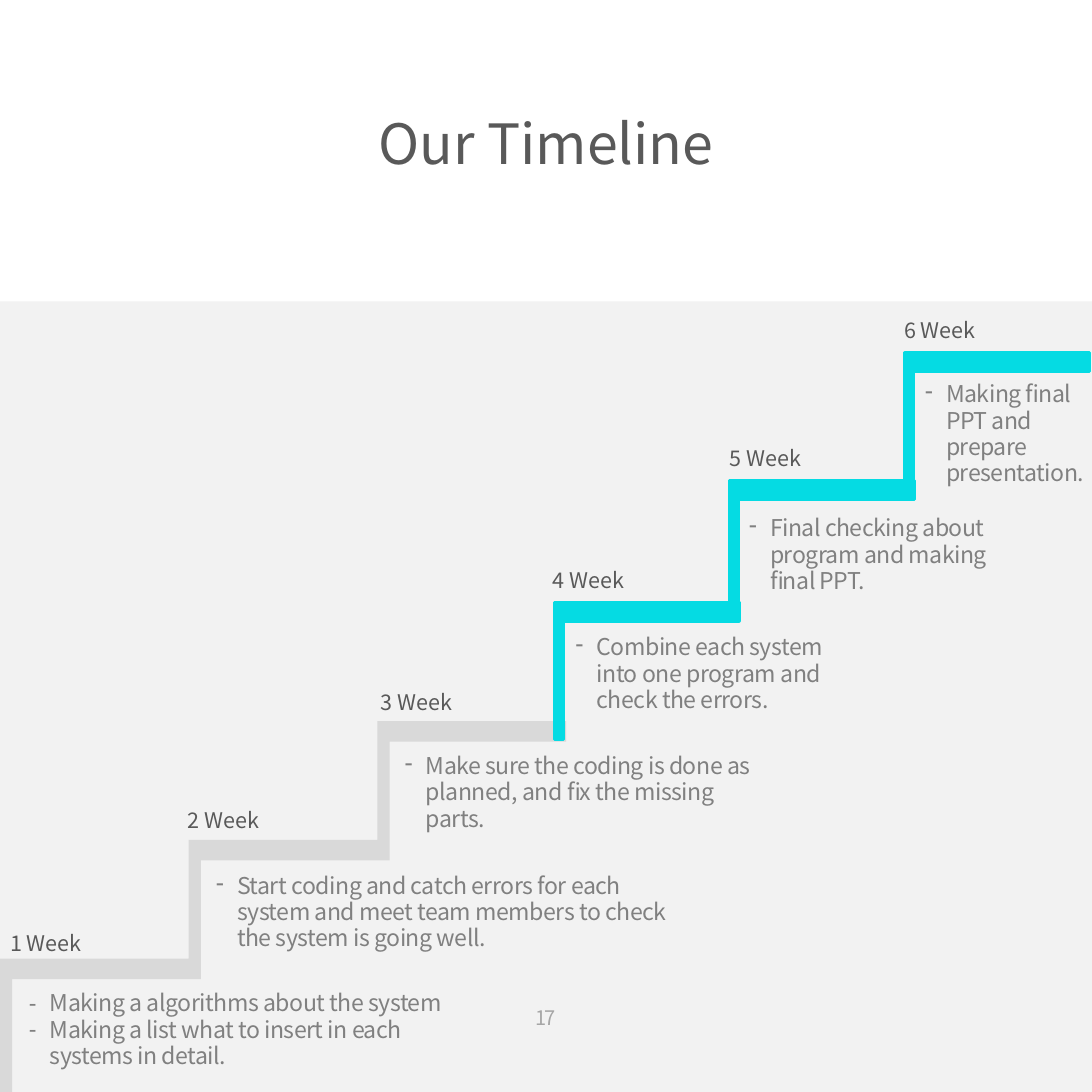
from dataclasses import dataclass

from lxml import etree
from pptx import Presentation
from pptx.dml.color import RGBColor
from pptx.enum.shapes import MSO_SHAPE
from pptx.enum.text import MSO_ANCHOR, MSO_AUTO_SIZE, PP_ALIGN
from pptx.oxml.ns import qn
from pptx.util import Cm, Pt

RECT = MSO_SHAPE.RECTANGLE
TOP, MIDDLE = MSO_ANCHOR.TOP, MSO_ANCHOR.MIDDLE
LEFT, CENTER = PP_ALIGN.LEFT, PP_ALIGN.CENTER
GROW = MSO_AUTO_SIZE.SHAPE_TO_FIT_TEXT
SIDE = 25


@dataclass(frozen=True)
class TextStyle:
    """Size, colour and letter spacing (points) of one kind of text."""
    size: float
    color: str
    tracking: float = 0
    line_spacing: float = 1.0


@dataclass(frozen=True)
class Theme:
    """Colours and type of the timeline."""
    font: str = "Noto Sans CJK KR"
    panel: str = "F2F2F2"
    early: str = "D9D9D9"
    late: str = "05DBE3"
    title: TextStyle = TextStyle(36, "595959")
    week: TextStyle = TextStyle(14, "595959")
    task: TextStyle = TextStyle(15, "808080", -0.3, 0.95)
    number: TextStyle = TextStyle(13, "A6A6A6", -1)


class Board:
    """Draws elements on a slide in the given theme."""

    def __init__(self, slide, theme):
        """Keep the slide and its theme."""
        self.slide, self.theme = slide, theme

    def paint(self, shape, color, outline=0):
        """Give a shape a flat fill and an optional line of the same colour."""
        shape.shadow.inherit = False
        shape.fill.solid()
        shape.fill.fore_color.rgb = RGBColor.from_string(color)
        if outline:
            shape.line.color.rgb = RGBColor.from_string(color)
            shape.line.width = Pt(outline)
        else:
            shape.line.fill.background()
        return shape

    def bar(self, box, color, outline=0):
        """Add a rectangle."""
        shape = self.slide.shapes.add_shape(RECT, *map(Cm, box))
        return self.paint(shape, color, outline)

    def outline(self, points, color):
        """Add a closed polygon."""
        corners = [(Cm(x), Cm(y)) for x, y in points]
        builder = self.slide.shapes.build_freeform(*corners[0])
        builder.add_line_segments(corners[1:], close=True)
        return self.paint(builder.convert_to_shape(), color)

    def text(self, box, lines, style, align=LEFT, anchor=TOP, dash=False, holder=None):
        """Write lines in a placeholder or a new text box."""
        shape = holder or self.slide.shapes.add_textbox(*map(Cm, box))
        shape.left, shape.top, shape.width, shape.height = map(Cm, box)
        frame = shape.text_frame
        frame.margin_left = frame.margin_right = 0
        frame.margin_top = frame.margin_bottom = 0
        frame.text = "\n".join(lines)
        frame.word_wrap = True
        frame.auto_size = GROW
        frame.vertical_anchor = anchor
        for paragraph in frame.paragraphs:
            if dash:
                self.dash(paragraph)
            paragraph.alignment = align
            paragraph.space_before = Pt(0)
            paragraph.line_spacing = style.line_spacing
            for font in (paragraph.font, paragraph.runs[0].font):
                font.name = self.theme.font
                font.size = Pt(style.size)
                font.color.rgb = RGBColor.from_string(style.color)
                font._rPr.set("spc", str(round(style.tracking * 100)))

    def dash(self, paragraph):
        """Put a hanging dash before a paragraph."""
        properties = paragraph._p.get_or_add_pPr()
        properties.set("marL", str(Cm(0.48)))
        properties.set("indent", str(-Cm(0.48)))
        etree.SubElement(properties, qn("a:buChar")).set("char", "-")


def early_stairs(steps=3, run=4.32, rise=2.72, tread=0.47, riser=0.28):
    """Return the outline of the stairs for the first weeks."""
    tops = [21.95 - rise * i for i in range(steps)]
    floors = [SIDE] + tops[:-1]
    outer, inner = [], []
    for i, (top, floor) in enumerate(zip(tops, floors)):
        x = run * i
        outer += [(x, floor), (x, top)]
        inner += [(x + riser, min(floor + tread, SIDE)), (x + riser, top + tread)]
    end = run * steps
    return outer + [(end, tops[-1]), (end, tops[-1] + tread)] + inner[::-1]


# Per week: label position, label width, task box, tasks
WEEKS = [
    ((0.23, 21.29), 6.17, (0.66, 22.68, 9.83, 1.93),
     ["Making a algorithms about the system",
      "Making a list what to insert in each systems in detail."]),
    ((4.29, 18.47), 6.17, (4.95, 19.99, 10.87, 1.93),
     ["Start coding and catch errors for each system and meet team members "
      "to check the system is going well."]),
    ((8.71, 15.77), 6.17, (9.27, 17.25, 8, 1.93),
     ["Make sure the coding is done as planned, and fix the missing parts."]),
    ((12.65, 12.98), 6.17, (13.18, 14.53, 6.17, 1.93),
     ["Combine each system into one program and check the errors."]),
    ((16.71, 10.19), 6.17, (17.15, 11.81, 5.46, 1.93),
     ["Final checking about program and making final PPT."]),
    ((20.7, 7.26), 2.16, (21.18, 8.74, 3.82, 2.57),
     ["Making final PPT and prepare presentation."]),
]
LATE_TREAD_TOPS = [13.79, 11, 8.08]


def main():
    """Build the timeline slide and save it."""
    deck = Presentation()
    deck.slide_width = deck.slide_height = Cm(SIDE)
    slide = deck.slides.add_slide(deck.slide_layouts[1])
    theme = Theme()
    board = Board(slide, theme)

    panel = board.bar((0, 6.9, SIDE, 18.1), theme.panel)
    slide.shapes.element.insert(2, panel.element)  # behind the placeholders
    board.text((11.68, 23.01, 1.63, 0.56), ["17"], theme.number, CENTER, MIDDLE)
    board.text((0, 2.49, SIDE, 1.55), ["Our Timeline"], theme.title, CENTER,
               holder=slide.shapes.title)

    board.outline(early_stairs(), theme.early)
    for i, tread_top in enumerate(LATE_TREAD_TOPS):
        x = 12.7 + 4.01 * i
        board.bar((x, 13.82 - 2.75 * i, 0.2, 3.12), theme.late, 2)
        board.bar((x, tread_top, 4.22, 0.43), theme.late, 2)

    first_tasks = slide.placeholders[1]
    for week, (corner, width, task_box, tasks) in enumerate(WEEKS, 1):
        board.text((*corner, width, 0.61), [f"{week} Week"], theme.week)
        board.text(task_box, tasks, theme.task, dash=True,
                   holder=first_tasks if week == 1 else None)

    deck.save("out.pptx")


main()
